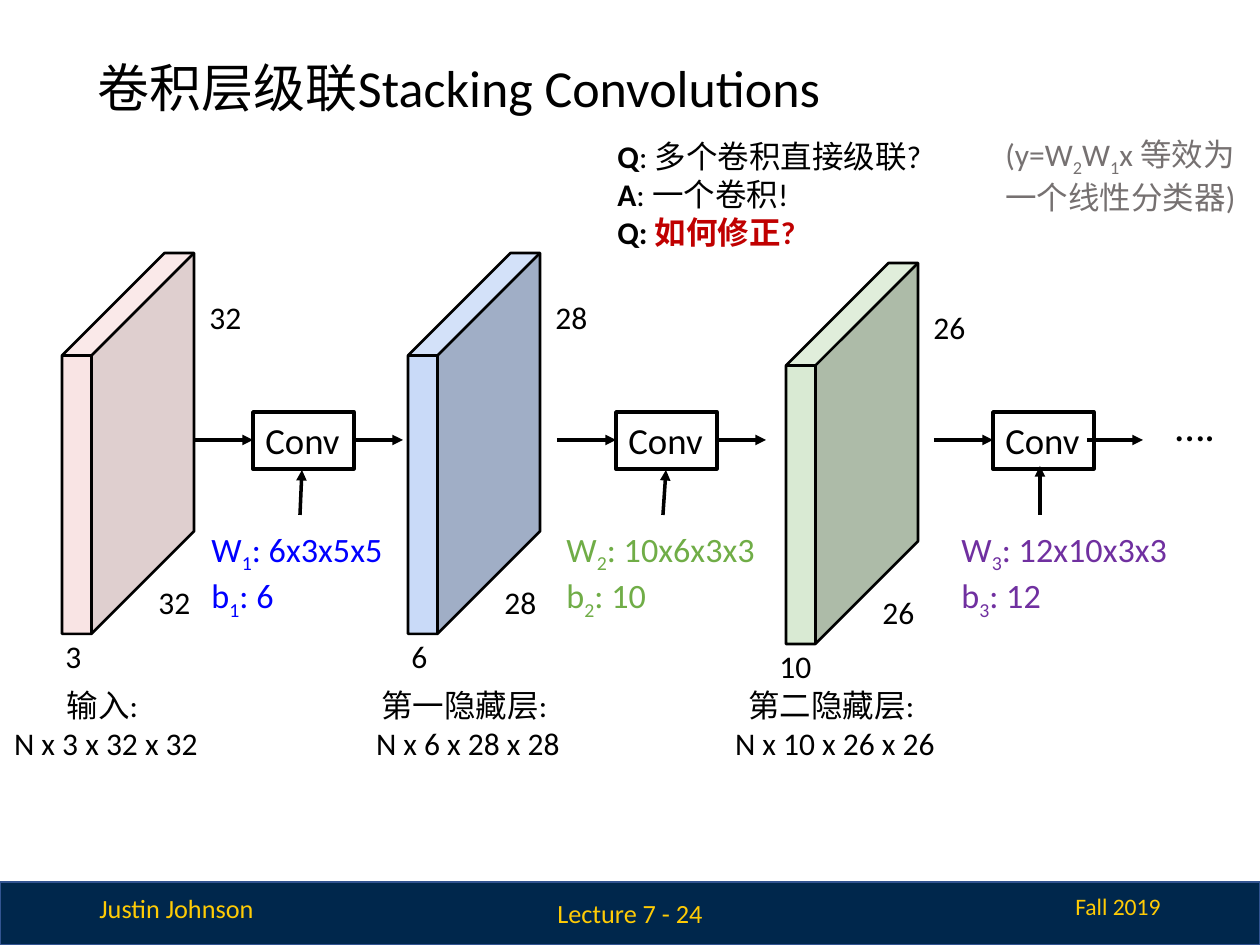
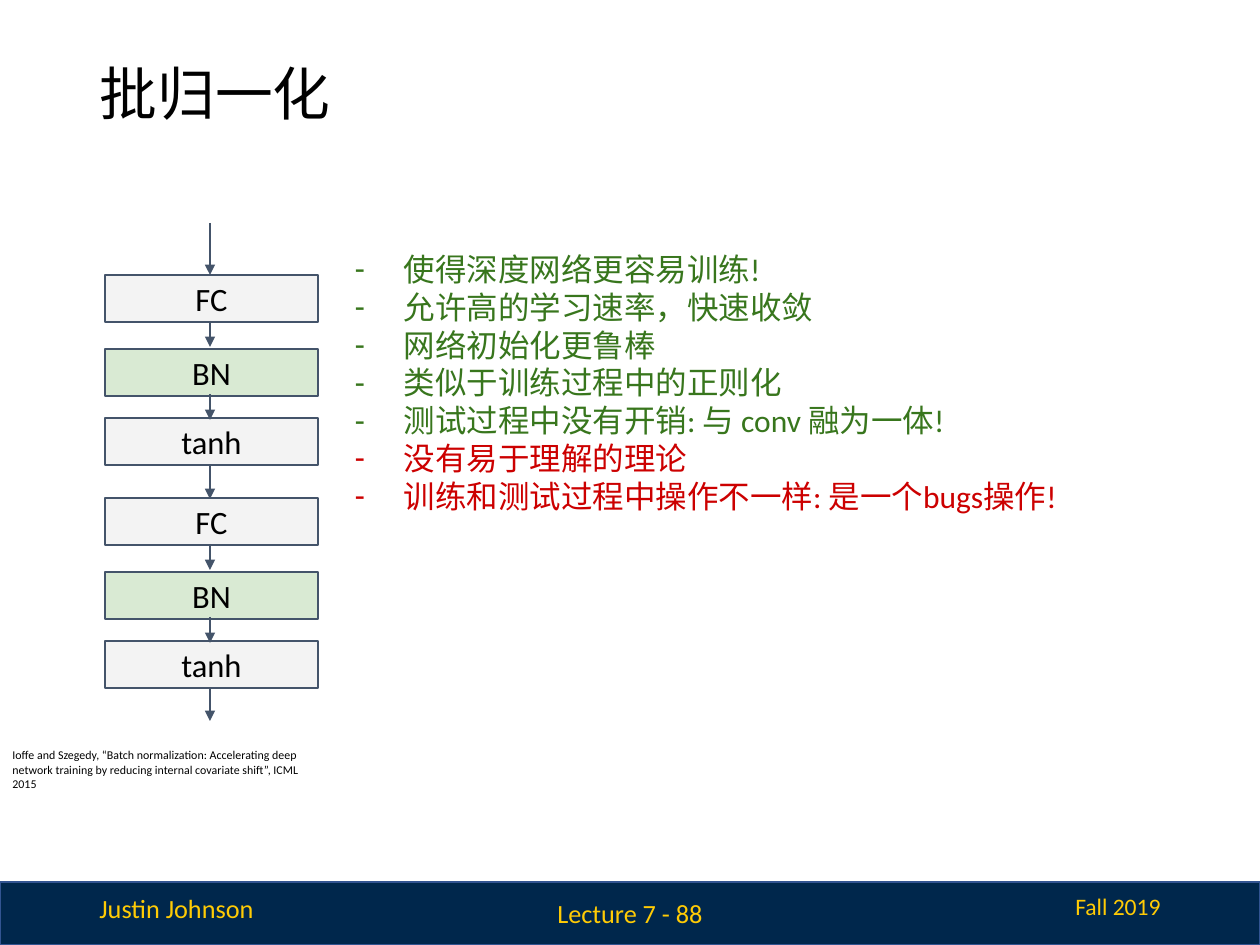
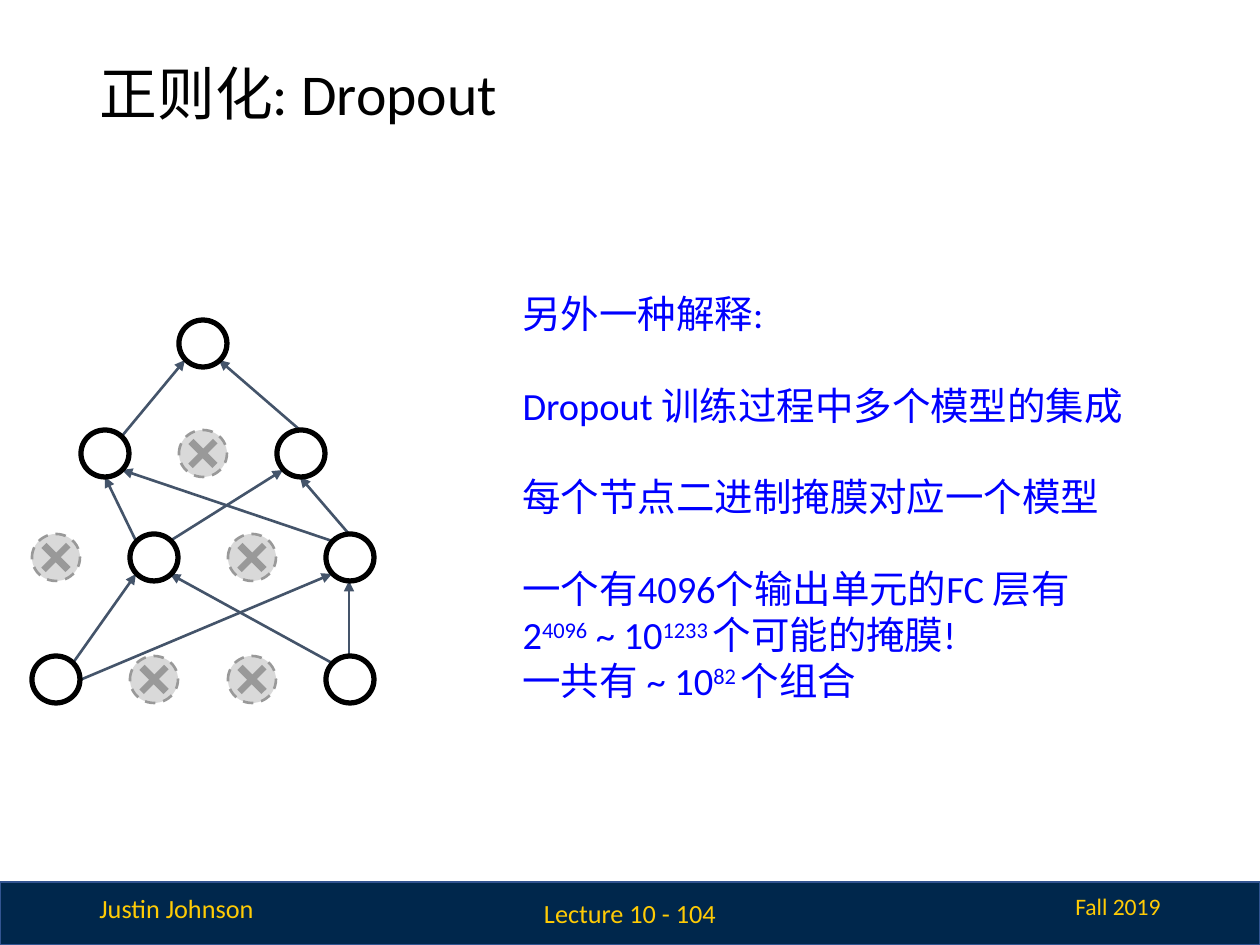
from lxml.etree import SubElement
from pptx import Presentation
from pptx.dml.color import RGBColor
from pptx.enum.dml import MSO_LINE
from pptx.enum.shapes import MSO_CONNECTOR, MSO_SHAPE
from pptx.enum.text import MSO_ANCHOR as Anchor, MSO_AUTO_SIZE, PP_ALIGN as Align
from pptx.oxml.ns import qn
from pptx.util import Pt

PX = 7257  # EMU per pixel, 126 pixels to the inch
FONT = "Calibri"
DEEP = 13  # top and bottom inset of diagram text
COLORS = {name: RGBColor.from_string(value) for name, value in {
    "black": "000000", "navy": "00274C", "band edge": "325491", "maize": "FFCB05",
    "blue": "0000FF", "green": "70AD47", "purple": "7030A0", "crimson": "C00000",
    "gray": "767171", "slate": "44546A", "pro": "38761D", "con": "CC0000",
    "pink": "F4CCCC", "sky": "C9DAF8", "mint": "D9EAD3", "pale": "F3F3F3",
    "dropped": "D9D9D9", "cross": "999999",
}.items()}


def write(shape, lines, size, color="black", align=Align.LEFT, anchor=Anchor.TOP,
          inset=6, wrap=True, shift=0, bullet=None):
    """Fill a shape with lines; "|" separates runs, every second one shifted by shift percent."""
    frame = shape.text_frame
    frame.auto_size = MSO_AUTO_SIZE.NONE
    frame.word_wrap = wrap
    frame.vertical_anchor = anchor
    frame.margin_top = frame.margin_bottom = inset * PX
    for number, line in enumerate(lines):
        paragraph = frame.add_paragraph() if number else frame.paragraphs[0]
        if shape.is_placeholder:
            properties = paragraph._p.get_or_add_pPr()
            properties.set("marL", str(63 * PX if bullet else 0))
            properties.set("indent", str(-49 * PX if bullet else 0))
            if bullet:
                SubElement(properties, qn("a:buChar")).set("char", bullet)
            else:
                SubElement(properties, qn("a:buNone"))
            paragraph.space_before = Pt(0)
        paragraph.alignment = align
        paragraph.font.name = FONT
        paragraph.font.size = Pt(size)
        paragraph.font.color.rgb = COLORS[color]
        for index, text in enumerate(line.split("|")):
            run = paragraph.add_run()
            run.text = text
            if shift and index % 2:
                run._r.get_or_add_rPr().set("baseline", str(shift * 1000))
    return frame.paragraphs


def add_arrow(shapes, points, color, width):
    arrow = shapes.add_connector(MSO_CONNECTOR.STRAIGHT, *(n * PX for n in points))
    arrow.line.color.rgb = COLORS[color]
    arrow.line.width = Pt(width)
    SubElement(arrow.line._get_or_add_ln(), qn("a:tailEnd")).set("type", "triangle")
    SubElement(arrow.element.spPr, qn("a:effectLst"))


presentation = Presentation()
presentation.slide_width = 1260 * PX
presentation.slide_height = 945 * PX

# Titles and lecture numbers
TITLE_ONLY, TITLE_AND_BODY = 5, 1
WIDE_TITLE = (87, 50, 1086, 94)
slides = []
for layout, title, box, size, lecture in [
    (TITLE_ONLY, "卷积层级联Stacking Convolutions", (85, 55, 834, 71), 29.7, "Lecture 7 - 24"),
    (TITLE_AND_BODY, "批归一化", WIDE_TITLE, 33, "Lecture 7 - 88"),
    (TITLE_AND_BODY, "正则化: Dropout", WIDE_TITLE, 33, "Lecture 10 - 104"),
]:
    slide = presentation.slides.add_slide(presentation.slide_layouts[layout])
    heading = slide.shapes.title
    heading.left, heading.top, heading.width, heading.height = (n * PX for n in box)
    write(heading, [title], size, anchor=Anchor.MIDDLE)[0].line_spacing = 0.9
    number_box = slide.shapes.add_textbox(460 * PX, 888 * PX, 340 * PX, 50 * PX)
    write(number_box, [lecture], 15, "maize", Align.CENTER, Anchor.MIDDLE)
    slides.append(slide)
stacking, normalization, dropout = slides

# Footer band, moved to the slide master
band = stacking.shapes.add_shape(MSO_SHAPE.RECTANGLE, 0, 882 * PX, 1260 * PX, 63 * PX)
band.shadow.inherit = False
band.fill.solid()
band.fill.fore_color.rgb = COLORS["navy"]
band.line.color.rgb = COLORS["band edge"]
band.line.width = Pt(1)
author = stacking.shapes.add_textbox(87 * PX, 886 * PX, 181 * PX, 44 * PX)
write(author, ["Justin Johnson"], 15, "maize")
term = stacking.shapes.add_textbox(924 * PX, 886 * PX, 249 * PX, 42 * PX)
write(term, ["Fall 2019"], 13.5, "maize", Align.RIGHT)
for number, footer_part in enumerate((band, author, term)):
    footer_part.element.nvSpPr.cNvPr.set("id", str(101 + number))
    presentation.slide_master.shapes.element.append(footer_part.element)

# Slide 1: layers
for left, top, fill, side, channels, channel_shift, caption, caption_left, caption_width in [
    (62, 253, "pink", 32, 3, -9, "输入: ", 0, 212),
    (408, 253, "sky", 28, 6, -9, "第一隐藏层: ", 362, 212),
    (786, 263, "mint", 26, 10, -19, "第二隐藏层: ", 721, 228),
]:
    cube = stacking.shapes.add_shape(MSO_SHAPE.CUBE, left * PX, top * PX, 132 * PX, 381 * PX)
    cube.adjustments[0] = 0.777
    cube.shadow.inherit = False
    cube.fill.solid()
    cube.fill.fore_color.rgb = COLORS[fill]
    cube.line.color.rgb = COLORS["black"]
    cube.line.width = Pt(1.5)
    if fill == "pink":
        fill_color = cube.element.spPr.find(".//" + qn("a:srgbClr"))
        SubElement(fill_color, qn("a:alpha")).set("val", "52000")
    for label, right, down in [(side, 84, 317), (side, 135, 32), (channels, channel_shift, 371)]:
        label_box = stacking.shapes.add_textbox(
            (left + right) * PX, (top + down) * PX, 68 * PX, 40 * PX)
        write(label_box, [str(label)], 18, inset=DEEP)
    caption_box = stacking.shapes.add_textbox(
        caption_left * PX, 680 * PX, caption_width * PX, 89 * PX)
    write(caption_box, [caption, f"N x {channels} x {side} x {side}"], 18,
          align=Align.CENTER, wrap=False)

# Slide 1: convolutions between the layers
for number, (left, out_start, tip, weights_left, weights, bias, color) in enumerate([
    (253, 353, (302, 470), 199, "6x3x5x5", 6, "blue"),
    (616, 717, (666, 470), 554, "10x6x3x3", 10, "green"),
    (993, 1087, (1040, 466), 949, "12x10x3x3", 12, "purple"),
], start=1):
    conv = stacking.shapes.add_shape(
        MSO_SHAPE.RECTANGLE, left * PX, 412 * PX, 101 * PX, 57 * PX)
    conv.shadow.inherit = False
    conv.fill.background()
    conv.line.color.rgb = COLORS["black"]
    conv.line.width = Pt(2)
    write(conv, ["Conv"], 21, wrap=False)
    for points in [(left - 59, 440, left, 440), (out_start, 440, left + 150, 440),
                   (left + 47, 515, *tip)]:
        add_arrow(stacking.shapes, points, "black", 2)
    weights_box = stacking.shapes.add_textbox(weights_left * PX, 515 * PX, 236 * PX, 108 * PX)
    write(weights_box, [f"W|{number}|: {weights}", f"b|{number}|: {bias}"], 19.5, color,
          inset=DEEP, shift=-25)

dots = stacking.shapes.add_textbox(1163 * PX, 387 * PX, 87 * PX, 79 * PX)
write(dots, ["…."], 24, inset=DEEP)

# Slide 1: questions
questions = stacking.shapes.add_textbox(605 * PX, 131 * PX, 435 * PX, 127 * PX)
paragraphs = write(questions, ["Q|: 多个卷积直接级联?", "A|: 一个卷积!", "Q: |如何修正?"], 18)
for paragraph in paragraphs:
    paragraph.runs[0].font.bold = True
fix = paragraphs[-1].runs[1].font
fix.bold = True
fix.color.rgb = COLORS["crimson"]
remark = stacking.shapes.add_textbox(993 * PX, 129 * PX, 262 * PX, 89 * PX)
write(remark, ["(y=W|2|W|1|x 等效为一个线性分类器)"], 18, "gray", shift=-25)

# Slide 2: two stacks of network blocks
for stack_top in (275, 498):
    for name, down, fill in [("FC", 0, "pale"), ("BN", 74, "mint"), ("tanh", 143, "pale")]:
        block = normalization.shapes.add_shape(
            MSO_SHAPE.RECTANGLE, 105 * PX, (stack_top + down) * PX, 213 * PX, 47 * PX)
        block.shadow.inherit = False
        block.fill.solid()
        block.fill.fore_color.rgb = COLORS[fill]
        block.line.color.rgb = COLORS["slate"]
        block.line.width = Pt(0.75)
        write(block, [name], 18.6, align=Align.CENTER, anchor=Anchor.MIDDLE, inset=DEEP)
for start, end in [(223, 275), (321, 347), (394, 420), (466, 499),
                   (544, 570), (617, 643), (688, 721)]:
    add_arrow(normalization.shapes, (210, start, 210, end), "slate", 0.75)

# Slide 2: pros and cons
effects = normalization.placeholders[1]
effects.left, effects.top, effects.width, effects.height = (
    n * PX for n in (328, 237, 759, 336))
paragraphs = write(effects, [
    "使得深度网络更容易训练!",
    "允许高的学习速率，快速收敛",
    "网络初始化更鲁棒",
    "类似于训练过程中的正则化",
    "测试过程中没有开销: 与 conv 融为一体!",
    "没有易于理解的理论",
    "训练和测试过程中操作不一样: 是一个bugs操作!",
], 18, "pro", inset=DEEP, bullet="-")
for paragraph in paragraphs[-2:]:
    paragraph.font.color.rgb = COLORS["con"]
citation = normalization.shapes.add_textbox(0, 742 * PX, 333 * PX, 55 * PX)
write(citation, ["Ioffe and Szegedy, “Batch normalization: Accelerating deep network training "
                 "by reducing internal covariate shift”, ICML 2015"], 6.8)

# Slide 3: network with dropped nodes
network = dropout.shapes.add_group_shape().shapes
for points in [
    (80, 680, 332, 574), (73, 663, 136, 574), (349, 656, 349, 581), (332, 663, 170, 574),
    (349, 534, 300, 477), (332, 541, 122, 470), (170, 541, 283, 470), (136, 541, 105, 477),
    (300, 430, 219, 360), (122, 436, 185, 360),
]:
    add_arrow(network, points, "slate", 1.5)
for top, row_left, row in [(320, 179, "o"), (430, 81, "oxo"), (534, 32, "xoxo"), (656, 32, "oxxo")]:
    for column, state in enumerate(row):
        left = row_left + 98 * column
        node = network.add_shape(MSO_SHAPE.OVAL, left * PX, top * PX, 48 * PX, 47 * PX)
        node.shadow.inherit = False
        if state == "o":
            node.fill.background()
            node.line.color.rgb = COLORS["black"]
            node.line.width = Pt(3)
            continue
        node.fill.solid()
        node.fill.fore_color.rgb = COLORS["dropped"]
        node.line.color.rgb = COLORS["cross"]
        node.line.width = Pt(1.5)
        node.line.dash_style = MSO_LINE.DASH
        cross = network.add_shape(
            MSO_SHAPE.CROSS, (left + 7) * PX, (top + 6) * PX, 34 * PX, 35 * PX)
        cross.adjustments[0] = 0.407
        cross.rotation = 45
        cross.shadow.inherit = False
        cross.fill.solid()
        cross.fill.fore_color.rgb = COLORS["cross"]
        cross.line.fill.background()

# Slide 3: interpretation
interpretation = dropout.placeholders[1]
interpretation.left, interpretation.top, interpretation.width, interpretation.height = (
    n * PX for n in (510, 277, 721, 474))
paragraphs = write(interpretation, [
    "另外一种解释:",
    "Dropout 训练过程中多个模型的集成",
    "每个节点二进制掩膜对应一个模型",
    "一个有4096个输出单元的FC 层有",
    "2|4096| ~ 10|1233 |个可能的掩膜!",
    "一共有 ~ 10|82 |个组合",
], 22, "blue", inset=DEEP, shift=30)
for paragraph in paragraphs[1:4]:
    paragraph.space_before = Pt(26)

presentation.save("out.pptx")
